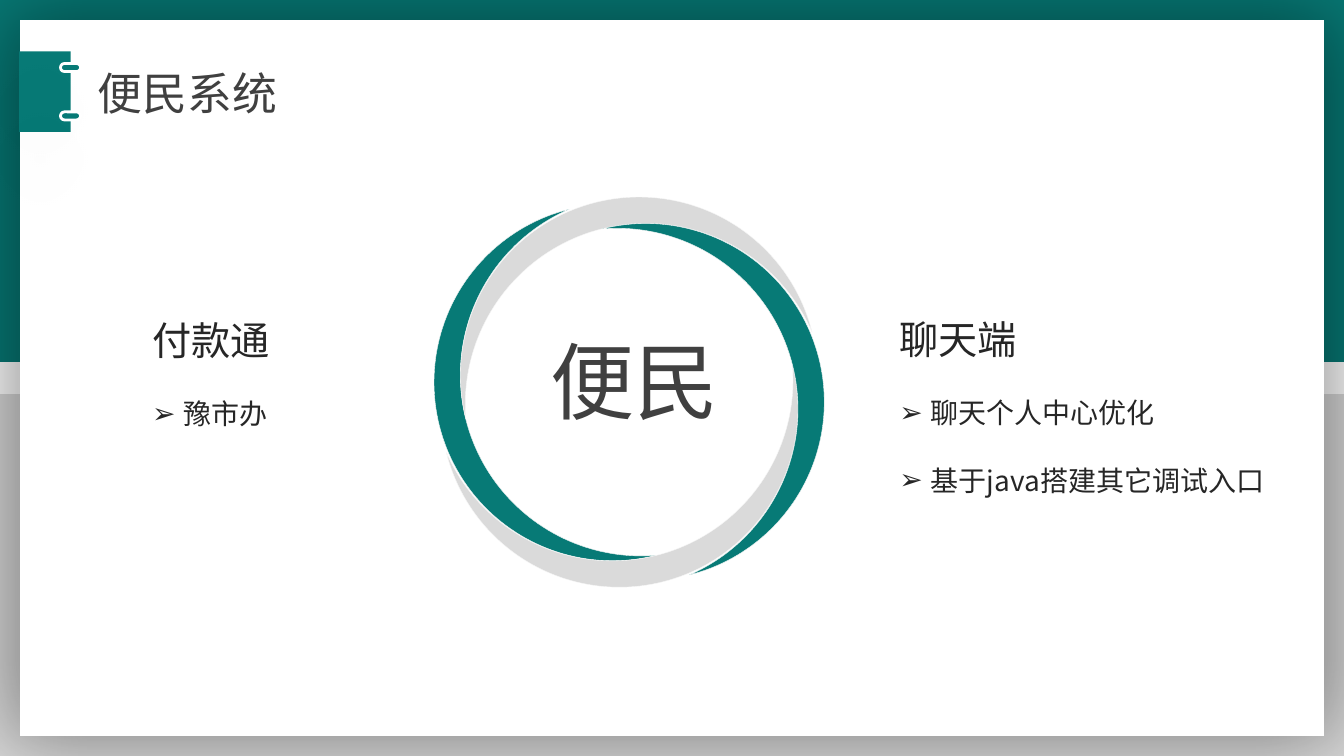
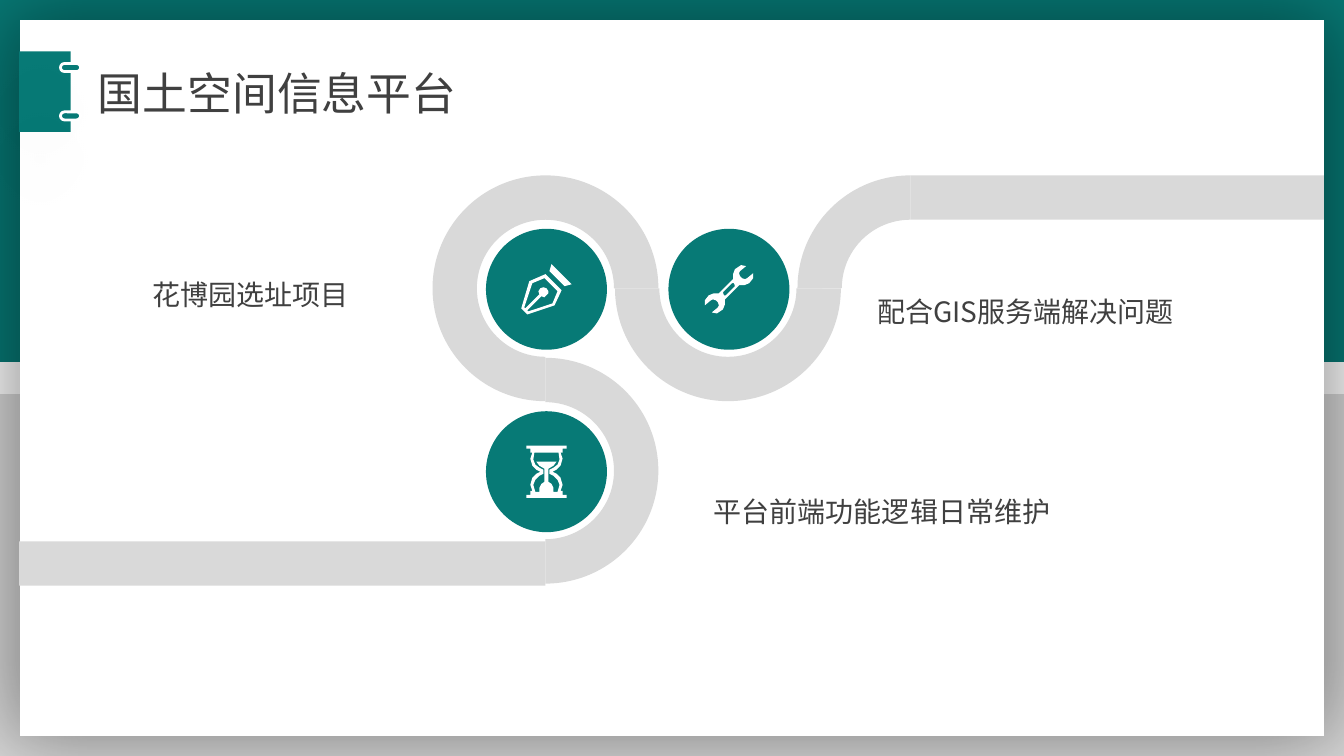
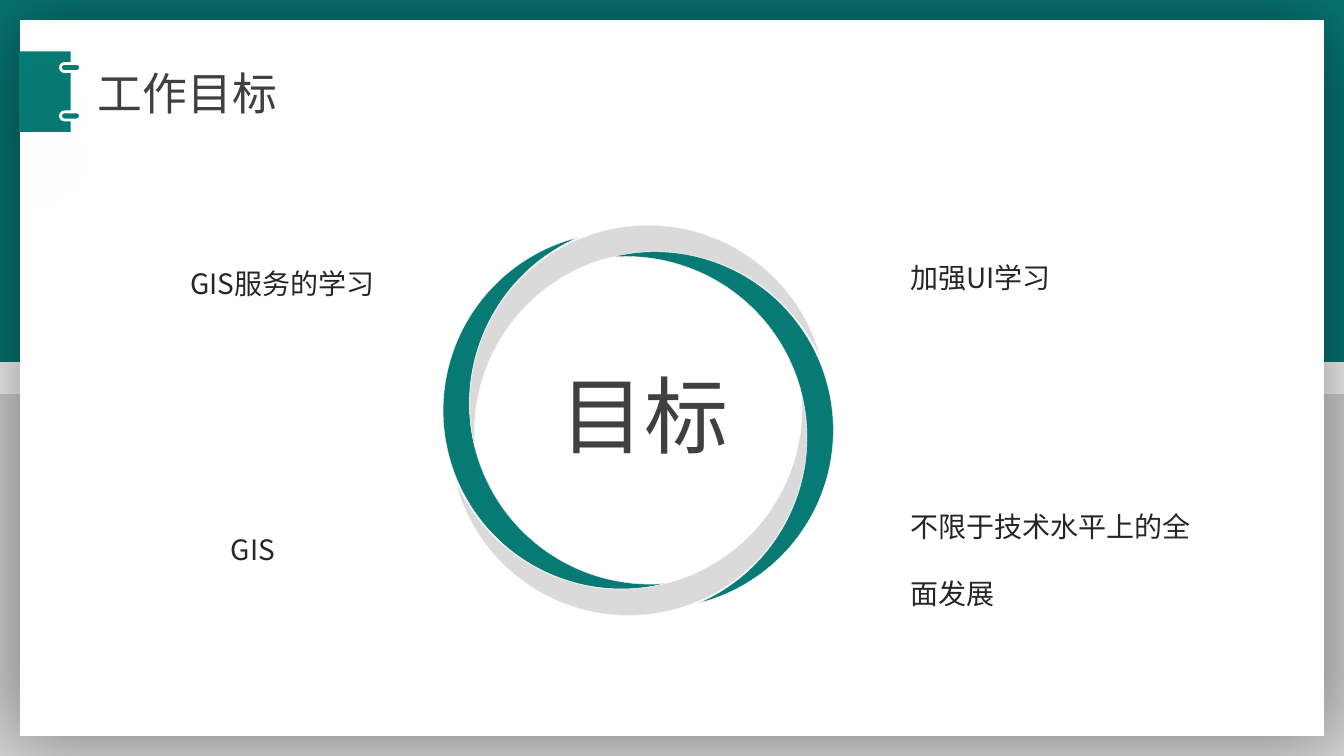
"""Build three slides of a work report on a shared teal card background."""
from math import cos, radians, sin

from pptx import Presentation
from pptx.dml.color import RGBColor
from pptx.enum.shapes import MSO_SHAPE
from pptx.enum.text import MSO_ANCHOR, MSO_AUTO_SIZE, PP_ALIGN
from pptx.oxml import parse_xml
from pptx.oxml.ns import nsdecls, qn
from pptx.util import Inches, Pt

TEAL = RGBColor(0x07, 0x7A, 0x76)
SILVER = RGBColor(0xDA, 0xDA, 0xDA)
ROAD = RGBColor(0xD9, 0xD9, 0xD9)
WHITE = RGBColor(0xFF, 0xFF, 0xFF)
HAIRLINE = RGBColor(0xF8, 0xF8, 0xF8)
INK = RGBColor(0x26, 0x26, 0x26)
GREY_INK = RGBColor(0x40, 0x40, 0x40)
FONT, HUB_FONT = "Noto Sans CJK SC", "Noto Sans CJK JP"

WIDTH, HEIGHT = 13.33, 7.5
MARGIN, BAND = 0.2, 3.59
TWO_CONTENT, TITLE_ONLY = 3, 5

SERVICES = {
    "title": "便民系统",
    "hub": ("便民", (5.36, 3.22), (6.24, 3.89)),
    "columns": [
        ((1.41, 2.62, 3.02, 1.62), "付款通", ["豫市办"]),
        ((8.82, 2.61, 3.84, 2.29), "聊天端", ["聊天个人中心优化", "基于java搭建其它调试入口"]),
    ],
}
PLATFORM = {
    "title": "国土空间信息平台",
    "labels": [
        ("配合GIS服务端解决问题", (8.6, 2.54, 4.01, 0.67)),
        ("花博园选址项目", (1.41, 2.37, 3.65, 0.67)),
        ("平台前端功能逻辑日常维护", (6.98, 4.52, 4.01, 0.67)),
    ],
}
GOALS = {
    "title": "工作目标",
    "hub": ("目标", (5.46, 3.56), (6.33, 4.17)),
    "labels": [
        ("GIS服务的学习", (1.79, 2.26, 3.42, 0.67)),
        ("加强UI学习", (8.93, 2.2, 3.42, 0.67)),
        ("GIS", (2.19, 4.9, 3.02, 0.67)),
        ("不限于技术水平上的全面发展", (8.93, 4.67, 3.02, 1.45)),
    ],
}

ROAD_X, ROAD_Y, ROAD_STEP = 5.41, 2.86, 1.81
ROAD_RADIUS, ROAD_THICKNESS, STOP_SIZE = 1.12, 0.44, 1.2
BENDS = [(0, 0, 90, 360), (1, 0, 0, 180), (2, 0, 180, 270), (0, 1, 270, 90)]

PEN = [
    [(25, -5), (18, -3), (3, -18), (5, -25)],
    [(-1, -15), (15, 1), (8, 16), (-19, 25), (-25, 19), (-17, -8)],
    [(11, 2), (-2, -11), (-14, -6), (-22, 18), (-21, 19), (-7, 5), (-8, 2), (-6, -1),
     (-3, -2), (0, -1), (2, 2), (2, 4), (0, 6), (-2, 8), (-5, 7), (-19, 21), (-18, 22), (6, 14)],
]
GLASS_QUARTER = [(20, -26), (20, -23), (16, -23), (16, -19), (14.5, -19), (16, -13),
                 (14, -6), (9.5, -1.5), (6, 0)]
GLASS_HALF = GLASS_QUARTER + [(x, -y) for x, y in reversed(GLASS_QUARTER[:-1])]
CAVITY_HALF = [(12, -19), (13, -12), (11, -7), (7, -4), (3, -2), (3, 2), (7, 4), (11, 8),
               (13, 13), (11, 20), (7, 20), (7, 16), (5, 12), (1.5, 10), (1.5, -3),
               (7, -6), (10, -10)]
HOURGLASS = [half + [(-x, y) for x, y in reversed(half)] for half in (GLASS_HALF, CAVITY_HALF)]
JAW = [(10, -4), (15, -3.5), (20, -6), (24, -11), (24, -16), (18, -11), (15.5, -9.5), (13, -11),
       (11, -13), (9.5, -15.5), (11, -18), (17, -23), (12, -24), (6, -20), (3.5, -15), (4, -10)]
SLOT_HALF = [(3, -6), (5, -6), (6, -3)]
WRENCH = [half + [(-x, -y) for x, y in half] for half in (JAW, SLOT_HALF)]
STOPS = [(1, 0, WRENCH), (0, 0, PEN), (0, 1, HOURGLASS)]


def inches(box):
    return [Inches(length) for length in box]


def paint(shape, fill, line=None, line_width=0):
    shape.shadow.inherit = False
    shape.fill.solid()
    shape.fill.fore_color.rgb = fill
    if line is None:
        shape.line.fill.background()
    else:
        shape.line.color.rgb = line
        shape.line.width = Pt(line_width)
    return shape


def add_figure(slide, preset, box, fill, line=None, line_width=0):
    return paint(slide.shapes.add_shape(preset, *inches(box)), fill, line, line_width)


def cast_shadow(shape, alpha, blur, distance, angle, scale=100):
    shape.element.spPr.find(qn("a:effectLst")).append(parse_xml(
        f'<a:outerShdw {nsdecls("a")} blurRad="{Pt(blur)}" dist="{Pt(distance)}" '
        f'dir="{angle * 60000}" sx="{scale * 1000}" sy="{scale * 1000}" algn="ctr" rotWithShape="0">'
        f'<a:srgbClr val="000000"><a:alpha val="{alpha * 1000}"/></a:srgbClr></a:outerShdw>'))


def write(paragraph, text, size, color, font=FONT):
    run = paragraph.add_run()
    run.text = text
    run.font.size = Pt(size)
    run.font.color.rgb = color
    run.font.name = font
    run.font._element.append(parse_xml(f'<a:ea {nsdecls("a")} typeface="{font}"/>'))


def place(holder, box):
    holder.left, holder.top, holder.width, holder.height = inches(box)
    frame = holder.text_frame
    frame.word_wrap = True
    frame.auto_size = MSO_AUTO_SIZE.NONE
    frame.vertical_anchor = MSO_ANCHOR.TOP
    return frame


def add_label(slide, text, box, size, color, font=FONT, spacing=1):
    frame = place(slide.shapes.add_textbox(*inches(box)), box)
    frame.paragraphs[0].line_spacing = spacing
    write(frame.paragraphs[0], text, size, color, font)


def add_slide(deck, layout, title):
    slide = deck.slides.add_slide(deck.slide_layouts[layout])
    heading = place(slide.shapes.title, (0.87, 0.6, 4.48, 0.64)).paragraphs[0]
    heading.alignment = PP_ALIGN.LEFT
    write(heading, title, 32, GREY_INK)
    return slide


def decorate_master(deck, slide):
    card_size = (WIDTH - 2 * MARGIN, HEIGHT - 2 * MARGIN)
    bands = [add_figure(slide, MSO_SHAPE.RECTANGLE, (0, top, WIDTH, BAND), fill)
             for top, fill in ((0, TEAL), (HEIGHT - BAND, SILVER))]
    card = add_figure(slide, MSO_SHAPE.RECTANGLE, (MARGIN, MARGIN, *card_size), WHITE)
    cast_shadow(card, 40, 63, 0, 260, 102)
    tab = add_figure(slide, MSO_SHAPE.RECTANGLE, (0.19, 0.51, 0.51, 0.8), TEAL)
    rings = []
    for top in (0.63, 1.11):
        ring = add_figure(slide, MSO_SHAPE.ROUNDED_RECTANGLE, (0.6, top, 0.2, 0.08), TEAL, WHITE, 2)
        ring.adjustments[0] = 0.5
        cast_shadow(ring, 13, 45, 38, 125)
        rings.append(ring)
    tree = deck.slide_master.shapes.element
    for order, shape in enumerate([*bands, card, tab, *rings]):
        shape.element.nvSpPr.cNvPr.set("id", str(100 + order))
        tree.insert(2 + order, shape.element)


def add_hub(slide, text, corner, center):
    width, height, radius, tilt = 1.77, 3.54, 1.03, 345.9
    for turn, fill in ((0, TEAL), (90, SILVER), (270, SILVER), (180, TEAL)):
        angle = radians(173.4 + turn)
        left = center[0] + radius * cos(angle) - width / 2
        top = center[1] + radius * sin(angle) - height / 2
        moon = add_figure(slide, MSO_SHAPE.MOON, (left, top, width, height), fill, HAIRLINE, 0.25)
        moon.adjustments[0] = 0.152
        moon.rotation = (tilt + turn) % 360
    add_label(slide, text, (*corner, 1.9, 1.11), 60, GREY_INK, HUB_FONT)


def add_list(holder, box, heading, items):
    frame = place(holder, box)
    for order, text in enumerate([heading, *items]):
        paragraph = frame.add_paragraph() if order else frame.paragraphs[0]
        paragraph.line_spacing = 2
        paragraph.space_before = Pt(0)
        props = paragraph._p.get_or_add_pPr()
        indent = Inches(0.31) if order else 0
        props.set("marL", str(indent))
        props.set("indent", str(-indent))
        bullet = 'buChar {} char="➢"' if order else "buNone {}"
        props.append(parse_xml(f'<a:{bullet.format(nsdecls("a"))}/>'))
        write(paragraph, text, 20 if order else 28, INK)


def add_icon(slide, contours, x, y):
    builder = None
    for first, *rest in contours:
        if builder is None:
            builder = slide.shapes.build_freeform(*first, scale=Inches(0.01))
        else:
            builder.move_to(*first)
        builder.add_line_segments(rest, close=True)
    paint(builder.convert_to_shape(Inches(x), Inches(y)), WHITE)


def add_road(slide):
    for column, row, start, end in BENDS:
        left = ROAD_X + column * ROAD_STEP - ROAD_RADIUS
        top = ROAD_Y + row * ROAD_STEP - ROAD_RADIUS
        bend = add_figure(slide, MSO_SHAPE.BLOCK_ARC,
                          (left, top, 2 * ROAD_RADIUS, 2 * ROAD_RADIUS), ROAD)
        bend.adjustments[0] = start * 0.6
        bend.adjustments[1] = end % 360 * 0.6
        bend.adjustments[2] = ROAD_THICKNESS / (2 * ROAD_RADIUS)
    exit_x = ROAD_X + 2 * ROAD_STEP
    for left, right, top in ((exit_x, WIDTH - MARGIN, 1.74), (0.19, ROAD_X, 5.37)):
        add_figure(slide, MSO_SHAPE.RECTANGLE, (left, top, right - left, ROAD_THICKNESS), ROAD)
    for column, row, icon in STOPS:
        x = ROAD_X + 0.01 + column * ROAD_STEP
        y = ROAD_Y + 0.01 + row * ROAD_STEP
        box = (x - STOP_SIZE / 2, y - STOP_SIZE / 2, STOP_SIZE, STOP_SIZE)
        add_figure(slide, MSO_SHAPE.OVAL, box, TEAL)
        add_icon(slide, icon, x, y)


def main():
    deck = Presentation()
    deck.slide_width, deck.slide_height = Inches(WIDTH), Inches(HEIGHT)

    services = add_slide(deck, TWO_CONTENT, SERVICES["title"])
    decorate_master(deck, services)
    add_hub(services, *SERVICES["hub"])
    for index, column in enumerate(SERVICES["columns"], start=1):
        add_list(services.placeholders[index], *column)

    platform = add_slide(deck, TITLE_ONLY, PLATFORM["title"])
    add_road(platform)
    for text, box in PLATFORM["labels"]:
        add_label(platform, text, box, 20, GREY_INK, spacing=2)

    goals = add_slide(deck, TITLE_ONLY, GOALS["title"])
    add_hub(goals, *GOALS["hub"])
    for text, box in GOALS["labels"]:
        add_label(goals, text, box, 20, INK, spacing=2)

    deck.save("out.pptx")


if __name__ == "__main__":
    main()
